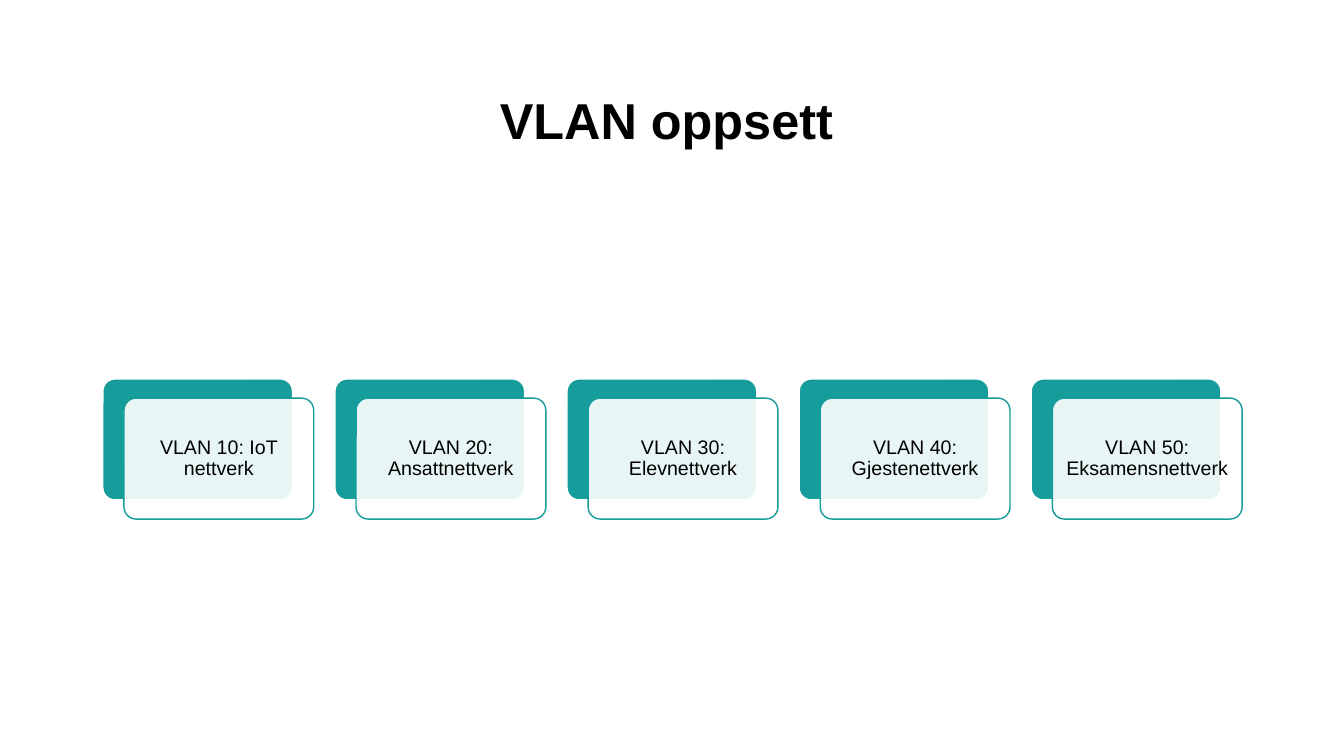
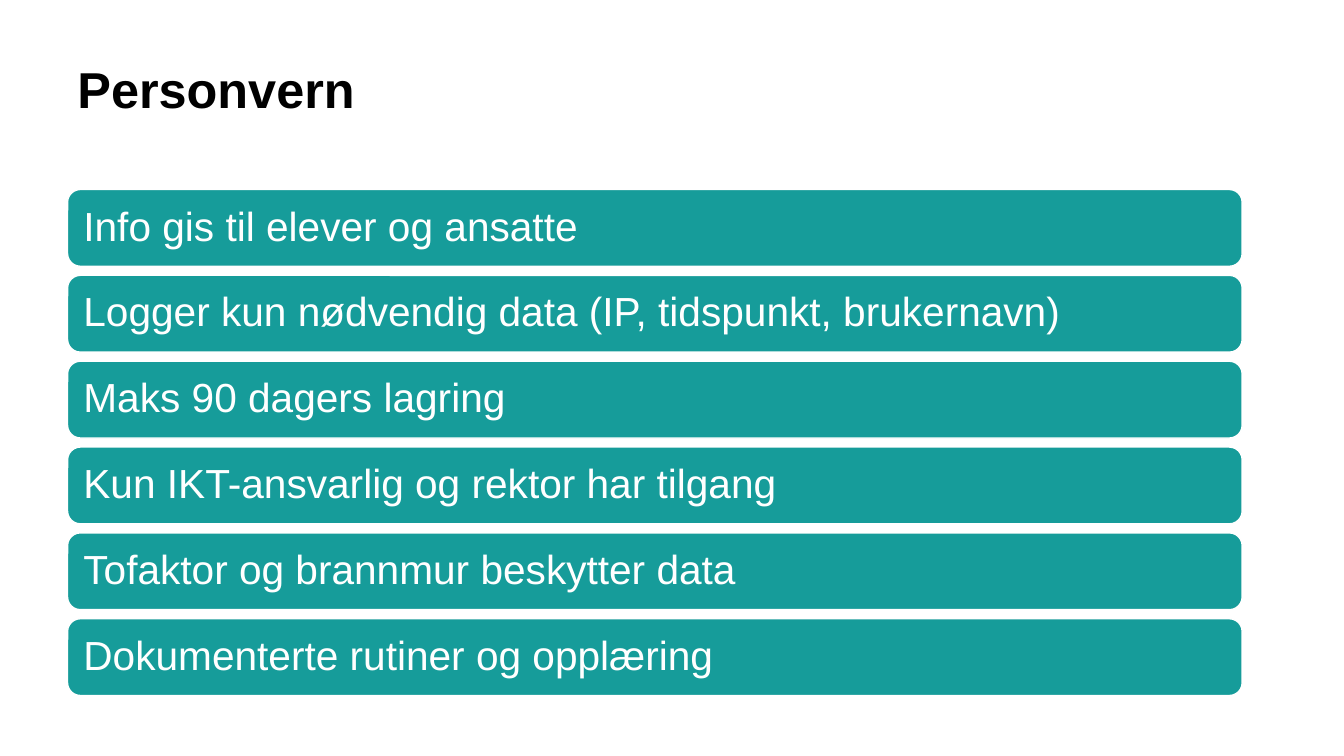
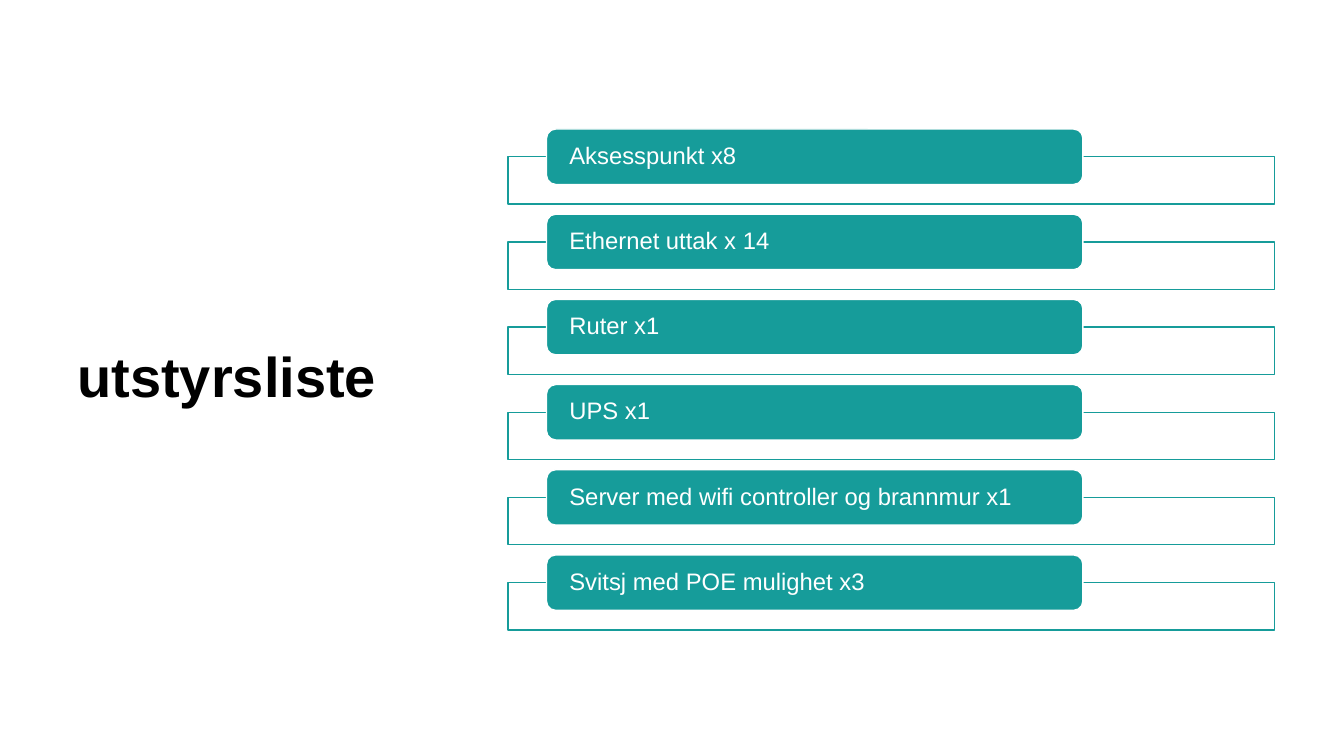
from pptx import Presentation
from pptx.dml.color import RGBColor
from pptx.enum.shapes import MSO_SHAPE
from pptx.enum.text import MSO_ANCHOR, PP_ALIGN
from pptx.oxml.ns import qn
from pptx.util import Inches, Pt
from lxml import etree

RECT, ROUND = MSO_SHAPE.RECTANGLE, MSO_SHAPE.ROUNDED_RECTANGLE
TOP, MIDDLE = MSO_ANCHOR.TOP, MSO_ANCHOR.MIDDLE
LEFT, CENTER = PP_ALIGN.LEFT, PP_ALIGN.CENTER

FONT = "Arial"
COLORS = {"teal": "169C9A", "white": "FFFFFF", "black": "000000"}
WIDTH, HEIGHT = 13.33, 7.5
MARGIN, HEAD = 0.67, 0.6

NETS = ["VLAN 10: IoT nettverk", "VLAN 20: Ansattnettverk",
        "VLAN 30: Elevnettverk", "VLAN 40: Gjestenettverk",
        "VLAN 50: Eksamensnettverk"]
RULES = ["Info gis til elever og ansatte",
         "Logger kun nødvendig data (IP, tidspunkt, brukernavn)",
         "Maks 90 dagers lagring",
         "Kun IKT-ansvarlig og rektor har tilgang",
         "Tofaktor og brannmur beskytter data",
         "Dokumenterte rutiner og opplæring"]
GEAR = ["Aksesspunkt x8", "Ethernet uttak x 14", "Ruter x1", "UPS x1",
        "Server med wifi controller og brannmur x1",
        "Svitsj med POE mulighet x3"]


def color(name):
    return RGBColor.from_string(COLORS[name])


def inches(box):
    return [Inches(side) for side in box]


def write(shape, text, size, tint, align=LEFT, anchor=MIDDLE,
          inset=(0.1, 0.05), bold=False):
    frame = shape.text_frame
    frame.word_wrap = True
    frame.vertical_anchor = anchor
    frame.margin_left = frame.margin_right = Inches(inset[0])
    frame.margin_top = frame.margin_bottom = Inches(inset[1])
    frame.text = text
    para = frame.paragraphs[0]
    para.alignment = align
    para.line_spacing = 0.9
    font = para.runs[0].font
    font.name, font.size, font.bold = FONT, Pt(size), bold
    font.color.rgb = color(tint)


def title(slide, box, text, size=36, **style):
    shape = slide.shapes.add_textbox(*inches(box))
    write(shape, text, size, "black", bold=True, **style)


def panel(slide, box, kind, fill, line):
    shape = slide.shapes.add_shape(kind, *inches(box))
    shape.shadow.inherit = False
    shape.fill.solid()
    shape.fill.fore_color.rgb = color(fill)
    shape.line.color.rgb = color(line)
    shape.line.width = Pt(1)
    return shape


def glass(slide, box, kind):
    """Add a white panel that lets a tenth of what is behind show through."""
    shape = panel(slide, box, kind, "white", "teal")
    tint = shape.fill._xPr.find(".//" + qn("a:srgbClr"))
    etree.SubElement(tint, qn("a:alpha"), val="90000")
    return shape


def rows(box, count, gap):
    """Yield equal boxes, one below the other."""
    x, y, w, h = box
    pitch = (h + gap) / count
    for i in range(count):
        yield x, y + i * pitch, w, pitch - gap


def cards(slide, box, texts, shift=0.21, drop=0.19):
    x, y, w, h = box
    pitch = (w + shift) / len(texts)
    wide, tall = pitch - 2 * shift, h - drop
    for i, text in enumerate(texts):
        left = x + i * pitch
        back = panel(slide, (left, y, wide, tall), ROUND, "teal", "white")
        front = glass(slide, (left + shift, y + drop, wide, tall), ROUND)
        for card in (back, front):
            card.adjustments[0] = 0.1
        write(front, text, 14, "black", CENTER, inset=(0.06, 0.06))


def bars(slide, box, texts):
    for text, row in zip(texts, rows(box, len(texts), 0.09)):
        bar = panel(slide, row, ROUND, "teal", "white")
        write(bar, text, 29, "white", inset=(0.12, 0.12))


def tabs(slide, box, texts, tall=0.55):
    """Add framed rows, each with a label across its top edge."""
    for text, (x, y, w, h) in zip(texts, rows(box, len(texts), 0.1)):
        glass(slide, (x, y + tall / 2, w, h - tall / 2), RECT)
        tab = panel(slide, (x + 0.05 * w, y, 0.7 * w, tall),
                    ROUND, "teal", "white")
        write(tab, text, 17, "white", inset=(0.2, 0))


def main():
    deck = Presentation()
    deck.slide_width, deck.slide_height = Inches(WIDTH), Inches(HEIGHT)
    blank = deck.slide_layouts[6]
    nets, rules, gear = [deck.slides.add_slide(blank) for _ in range(3)]

    title(nets, (1.67, HEAD, 10.02, 1.24), "VLAN oppsett ", align=CENTER)
    cards(nets, (1.02, 3.76, 11.3, 1.39), NETS)

    title(rules, (MARGIN, HEAD, 11.65, 1.24), "Personvern", anchor=TOP)
    bars(rules, (MARGIN, 1.88, 11.65, 5.02), RULES)

    title(gear, (MARGIN, HEAD, 3.82, 6.33), "utstyrsliste", 40)
    tabs(gear, (5.04, 1.28, 7.6, 4.97), GEAR)

    deck.save("out.pptx")


if __name__ == "__main__":
    main()
